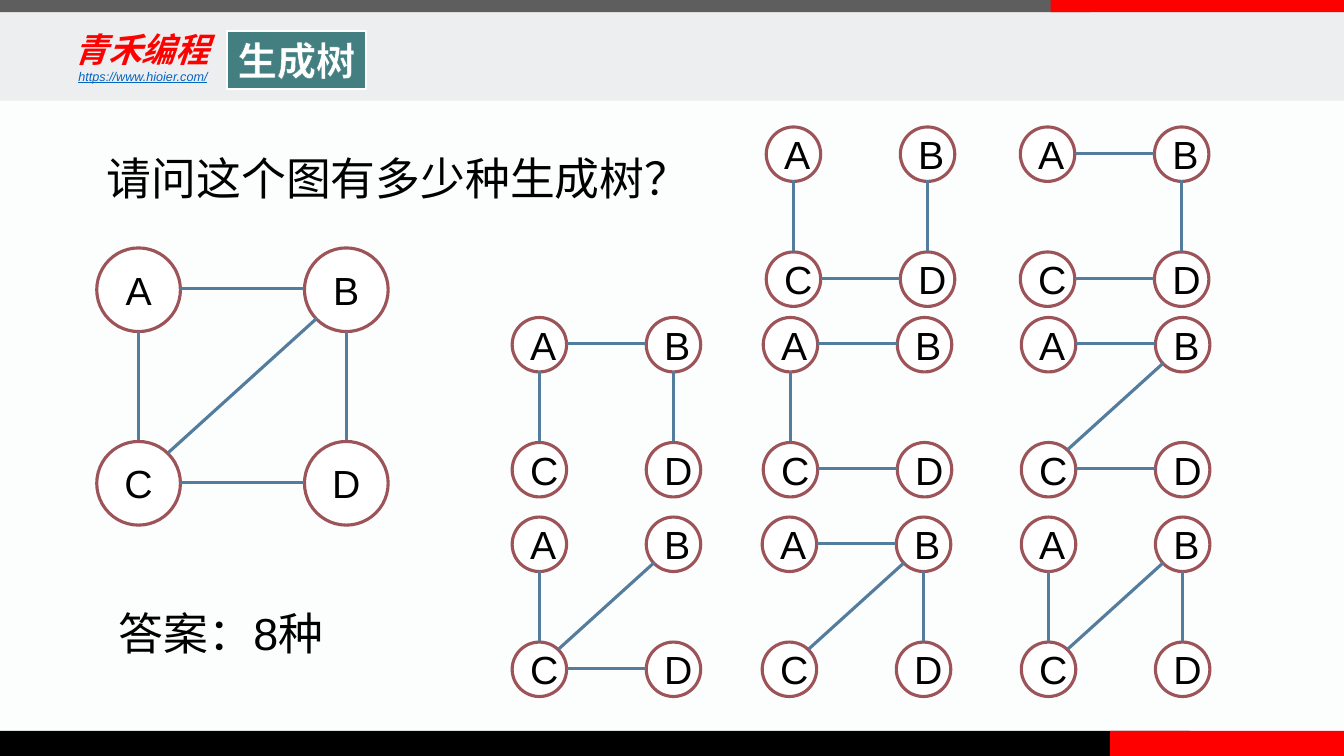
from dataclasses import dataclass
from math import hypot

from lxml import etree
from pptx import Presentation
from pptx.dml import color
from pptx.enum import shapes, text
from pptx.oxml import ns
from pptx.util import Inches, Pt


@dataclass(frozen=True)
class Theme:
    background: str = "FCFDFD"
    band: str = "ECEEEF"
    gray: str = "5E5E5E"
    black: str = "000000"
    white: str = "FFFFFF"
    red: str = "FF0000"
    teal: str = "437F81"
    link: str = "0563C1"
    ring: str = "9D5458"
    edge: str = "547D9D"
    font: str = "Arial"
    brand_font: str = "Lato"
    brand_size: float = 24
    link_size: float = 9
    title_size: float = 28
    node_size: float = 28
    body_size: float = 32
    stroke: float = 2.25
    title_stroke: float = 1.5
    outline: float = 0.52


THEME = Theme()
TITLE = "生成树"
BRAND = "青禾编程"
ADDRESS = "https://www.hioier.com/"
QUESTION = "请问这个图有多少种生成树？"
ANSWER = "答案：8种"

BARS = [
    (0, 0, 13.33, 1, THEME.band),
    (0, 0, 10.81, 0.12, THEME.gray),
    (0, 7.25, 11.8, 0.25, THEME.black),
    (11.01, 7.25, 2.32, 0.25, THEME.red),
    (10.42, 0, 2.91, 0.12, THEME.red),
]

NODES = {"A": (0, 0), "B": (1, 0), "C": (0, 1), "D": (1, 1)}
LARGE = {"size": 0.83, "step": (2.06, 1.92)}
SMALL = {"size": 0.54, "step": (1.33, 1.24)}
EDGE_LIFT = 0.01
GRAPHS = [
    (0.96, 2.46, LARGE, "AB BD AC CD CB"),
    (7.6, 1.26, SMALL, "BD AC CD"),
    (10.12, 1.26, SMALL, "AB BD CD"),
    (5.08, 3.15, SMALL, "AB BD AC"),
    (7.57, 3.15, SMALL, "AB AC CD"),
    (10.13, 3.15, SMALL, "AB CD CB"),
    (5.08, 5.13, SMALL, "AC CD CB"),
    (7.56, 5.13, SMALL, "AB BD CB"),
    (10.13, 5.13, SMALL, "BD AC CB"),
]


def rgb(value):
    return color.RGBColor.from_string(value)


def write(box, words, size, ink=THEME.black, font=THEME.font, bold=False,
          italic=False, underline=False, align=text.PP_ALIGN.LEFT,
          anchor=text.MSO_ANCHOR.TOP, wrap=True, grow=False, inset=None):
    frame = box.text_frame
    frame.word_wrap = wrap
    frame.vertical_anchor = anchor
    frame.auto_size = (text.MSO_AUTO_SIZE.SHAPE_TO_FIT_TEXT if grow
                       else text.MSO_AUTO_SIZE.NONE)
    if inset is not None:
        frame.margin_left = frame.margin_right = Inches(inset)
        frame.margin_top = frame.margin_bottom = Inches(inset)
    para = frame.paragraphs[0]
    para.alignment = align
    span = para.add_run()
    span.text = words
    span.font.name = font
    span.font.size = Pt(size)
    span.font.bold = bold
    span.font.italic = italic
    span.font.underline = underline
    span.font.color.rgb = rgb(ink)
    return span


def add_text(page, left, top, width, height, words, size, **style):
    box = page.shapes.add_textbox(*map(Inches, (left, top, width, height)))
    write(box, words, size, **style)


def add_bar(page, left, top, width, height, fill):
    bar = page.shapes.add_shape(shapes.MSO_SHAPE.RECTANGLE,
                                *map(Inches, (left, top, width, height)))
    bar.shadow.inherit = False
    bar.fill.solid()
    bar.fill.fore_color.rgb = rgb(fill)
    bar.line.fill.background()


def add_title(page):
    title = page.shapes.title
    title.left, title.top = Inches(2.25), Inches(0.31)
    title.width, title.height = Inches(1.38), Inches(0.57)
    title.fill.solid()
    title.fill.fore_color.rgb = rgb(THEME.teal)
    title.line.color.rgb = rgb(THEME.white)
    title.line.width = Pt(THEME.title_stroke)
    span = write(title, TITLE, THEME.title_size, ink=THEME.white, bold=True,
                 align=text.PP_ALIGN.CENTER, wrap=False)
    outline = etree.Element(ns.qn("a:ln"), w=str(Pt(THEME.outline)))
    fill = etree.SubElement(outline, ns.qn("a:solidFill"))
    etree.SubElement(fill, ns.qn("a:srgbClr"), val=THEME.teal)
    span.font._element.insert(0, outline)
    title.element.getparent().append(title.element)


def add_node(group, name, center, size):
    left, top = (value - size / 2 for value in center)
    node = group.shapes.add_shape(shapes.MSO_SHAPE.OVAL,
                                  *map(Inches, (left, top, size, size)))
    node.shadow.inherit = False
    node.fill.solid()
    node.fill.fore_color.rgb = rgb(THEME.white)
    node.line.color.rgb = rgb(THEME.ring)
    node.line.width = Pt(THEME.stroke)
    write(node, name, THEME.node_size, align=text.PP_ALIGN.CENTER,
          anchor=text.MSO_ANCHOR.MIDDLE)


def add_edge(group, start, end, start_cell, end_cell, radius):
    across, down = (b - a for a, b in zip(start_cell, end_cell))
    reach = radius / hypot(across, down)
    points = (start[0] + across * reach, start[1] + down * reach - EDGE_LIFT,
              end[0] - across * reach, end[1] - down * reach - EDGE_LIFT)
    edge = group.shapes.add_connector(shapes.MSO_CONNECTOR.STRAIGHT,
                                      *map(Inches, points))
    edge.line.color.rgb = rgb(THEME.edge)
    edge.line.width = Pt(THEME.stroke)
    etree.SubElement(edge.element.spPr, ns.qn("a:effectLst"))


def add_graph(page, left, top, scale, edges):
    group = page.shapes.add_group_shape()
    radius = scale["size"] / 2
    step_x, step_y = scale["step"]
    centers = {name: (left + radius + column * step_x, top + radius + row * step_y)
               for name, (column, row) in NODES.items()}
    for name, center in centers.items():
        add_node(group, name, center, scale["size"])
    for start, end in edges.split():
        add_edge(group, centers[start], centers[end],
                 NODES[start], NODES[end], radius)


def main():
    deck = Presentation()
    deck.slide_width, deck.slide_height = Inches(13.33), Inches(7.5)
    page = deck.slides.add_slide(deck.slide_layouts[5])
    page.background.fill.solid()
    page.background.fill.fore_color.rgb = rgb(THEME.background)
    for bar in BARS:
        add_bar(page, *bar)
    add_text(page, 0.68, 0.23, 1.85, 0.52, BRAND, THEME.brand_size,
             ink=THEME.red, font=THEME.brand_font, bold=True, italic=True,
             anchor=text.MSO_ANCHOR.MIDDLE, grow=True, inset=0.06)
    add_text(page, 0.68, 0.63, 6.67, 0.25, ADDRESS, THEME.link_size,
             ink=THEME.link, italic=True, underline=True, grow=True)
    add_title(page)
    add_text(page, 0.96, 1.45, 5.98, 0.64, QUESTION, THEME.body_size,
             wrap=False, grow=True)
    add_text(page, 1.08, 5.96, 3.45, 0.64, ANSWER, THEME.body_size, grow=True)
    for graph in GRAPHS:
        add_graph(page, *graph)
    deck.save("out.pptx")


if __name__ == "__main__":
    main()
